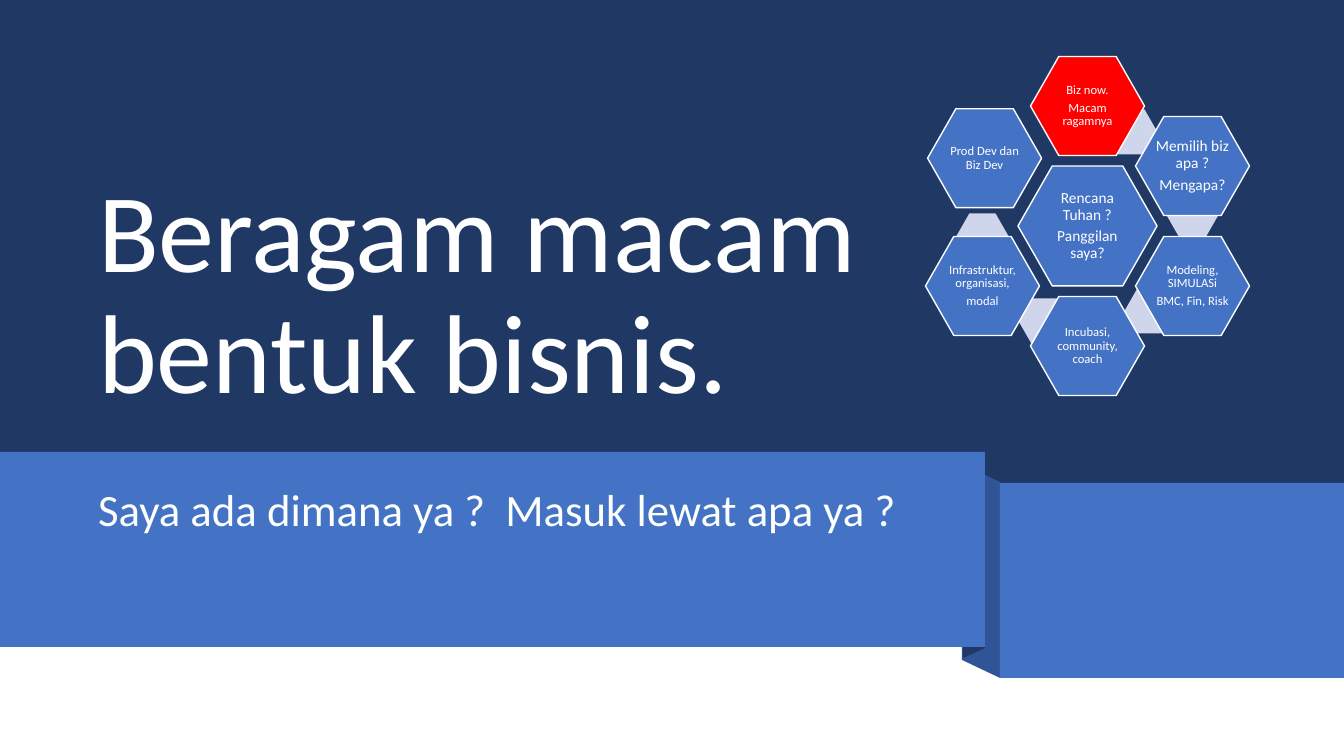
from collections import namedtuple

from lxml.etree import SubElement
from pptx import Presentation
from pptx.dml.color import RGBColor
from pptx.enum.shapes import MSO_SHAPE as Preset
from pptx.enum.text import MSO_ANCHOR as Anchor, MSO_AUTO_SIZE as AutoSize, PP_ALIGN as Align
from pptx.oxml.ns import qn
from pptx.util import Pt

SLIDE_WIDTH, SLIDE_HEIGHT = 1344, 756
EMU_PER_PX = 12192000 / SLIDE_WIDTH

Box = namedtuple("Box", "left top width height")
Cell = namedtuple("Cell", "column row lines size", defaults=(9,))


class Theme:
    font = "Calibri"
    white = RGBColor(0xFF, 0xFF, 0xFF)
    subtitle = RGBColor(0xFE, 0xFF, 0xFF)
    navy = RGBColor(0x20, 0x38, 0x64)
    blue = RGBColor(0x44, 0x72, 0xC4)
    fold = RGBColor(0x2F, 0x55, 0x97)
    link = RGBColor(0xCF, 0xD5, 0xEA)
    highlight = RGBColor(0xFF, 0x00, 0x00)
    title_size = 80
    subtitle_size = 32
    core_size = 11


CORE = ["Rencana Tuhan ?", "Panggilan saya?"]
CELLS = [
    Cell(0, -2, ["Biz now.", "Macam ragamnya"]),
    Cell(1, -1, ["Memilih biz apa ?", "Mengapa?"], Theme.core_size),
    Cell(1, 1, ["Modeling, SIMULASi", "BMC, Fin, Risk"]),
    Cell(0, 2, ["Incubasi, community, coach"]),
    Cell(-1, 1, ["Infrastruktur, organisasi,", "modal"]),
    Cell(-0.98, -1.13, ["Prod Dev dan Biz Dev"]),
]
LINK_CENTRES = [(44, -94), (105, -11), (63, 85), (-43, 95), (-105, 10)]


def emu(pixels):
    return round(pixels * EMU_PER_PX)


def paint(shape, fill, line=None):
    shape.shadow.inherit = False
    shape.fill.solid()
    shape.fill.fore_color.rgb = fill
    if line is None:
        shape.line.fill.background()
    else:
        shape.line.color.rgb = line
        shape.line.width = Pt(1)


def add_preset(shapes, preset, box, fill, line=None):
    shape = shapes.add_shape(preset, *map(emu, box))
    paint(shape, fill, line)
    return shape


def add_fold(shapes, box, points, fill):
    corners = [(box.left + x, box.top + y) for x, y in points]
    builder = shapes.build_freeform(*corners[0], scale=EMU_PER_PX)
    builder.add_line_segments(corners[1:], close=True)
    paint(builder.convert_to_shape(), fill)


def format_paragraph(paragraph, size, color, align):
    paragraph.alignment = align
    paragraph.line_spacing = 0.9
    paragraph.space_before = Pt(0)
    paragraph.font.name = Theme.font
    paragraph.font.size = Pt(size)
    paragraph.font.color.rgb = color


def place_placeholder(slide, placeholder, box, text, size, color, anchor):
    slide.shapes._spTree.append(placeholder._element)
    placeholder.left, placeholder.top, placeholder.width, placeholder.height = map(emu, box)
    frame = placeholder.text_frame
    frame.text = text
    frame.word_wrap = True
    frame.auto_size = AutoSize.NONE
    frame.vertical_anchor = anchor
    paragraph = frame.paragraphs[0]
    properties = paragraph._p.get_or_add_pPr()
    properties.set("marL", "0")
    properties.set("indent", "0")
    SubElement(properties, qn("a:buNone"))
    format_paragraph(paragraph, size, color, Align.LEFT)


def add_hexagon(shapes, centre, width, height, fill, line=None):
    x, y = centre
    box = Box(x - width / 2, y - height / 2, width, height)
    hexagon = add_preset(shapes, Preset.HEXAGON, box, fill, line)
    hexagon.adjustments[0] = 0.286
    return hexagon


def fill_hexagon(hexagon, lines, size):
    frame = hexagon.text_frame
    frame.text = "\n".join(lines)
    frame.word_wrap = True
    frame.vertical_anchor = Anchor.MIDDLE
    frame.margin_left = frame.margin_right = emu(1)
    frame.margin_top = frame.margin_bottom = emu(1)
    for paragraph in frame.paragraphs:
        format_paragraph(paragraph, size, Theme.white, Align.CENTER)
        paragraph.space_after = Pt(round(0.35 * size, 1))


def add_headline(slide, box):
    add_preset(slide.shapes, Preset.RECTANGLE, box, Theme.navy)
    title_box = Box(box.left + 88, box.top + 71, 912, 352)
    place_placeholder(slide, slide.shapes.title, title_box, "Beragam macam bentuk bisnis.",
                      Theme.title_size, Theme.white, Anchor.BOTTOM)


def add_ribbon(slide, box):
    shapes = slide.shapes
    band_width, band_height, drop, gap = 985, 195, 31, 15
    right = band_width + gap
    add_fold(shapes, box, [(right, 226), (962, 208), (962, 12), (right, 30)], Theme.fold)
    add_fold(shapes, box, [(band_width, 196), (963, 206), (963, 10), (band_width, 0)], Theme.navy)
    front = Box(box.left, box.top, band_width, band_height)
    add_preset(shapes, Preset.RECTANGLE, front, Theme.blue)
    subtitle_box = Box(box.left + 88, box.top + drop, 879, 141)
    place_placeholder(slide, slide.placeholders[1], subtitle_box,
                      "Saya ada dimana ya ?  Masuk lewat apa ya ?",
                      Theme.subtitle_size, Theme.subtitle, Anchor.TOP)
    back = Box(box.left + right, box.top + drop, box.width - right, band_height)
    add_preset(shapes, Preset.RECTANGLE, back, Theme.blue)


def add_hexagon_ring(slide, box):
    shapes = slide.shapes.add_group_shape().shapes
    x, y = box.left + box.width / 2, box.top + box.height / 2
    core = add_hexagon(shapes, (x, y), 139, 120, Theme.blue, Theme.white)
    fill_hexagon(core, CORE, Theme.core_size)
    for dx, dy in LINK_CENTRES:
        add_hexagon(shapes, (x + dx, y + dy), 52, 45, Theme.link)
    for cell in CELLS:
        centre = (x + 105 * cell.column, y + 60 * cell.row)
        fill = Theme.highlight if cell is CELLS[0] else Theme.blue
        hexagon = add_hexagon(shapes, centre, 114, 99, fill, Theme.white)
        fill_hexagon(hexagon, cell.lines, cell.size)


def main():
    presentation = Presentation()
    presentation.slide_width = emu(SLIDE_WIDTH)
    presentation.slide_height = emu(SLIDE_HEIGHT)
    slide = presentation.slides.add_slide(presentation.slide_layouts[1])
    add_headline(slide, Box(0, 0, SLIDE_WIDTH, 502))
    add_ribbon(slide, Box(0, 452, SLIDE_WIDTH, 226))
    add_hexagon_ring(slide, Box(926, 57, 323, 338))
    presentation.save("out.pptx")


if __name__ == "__main__":
    main()
